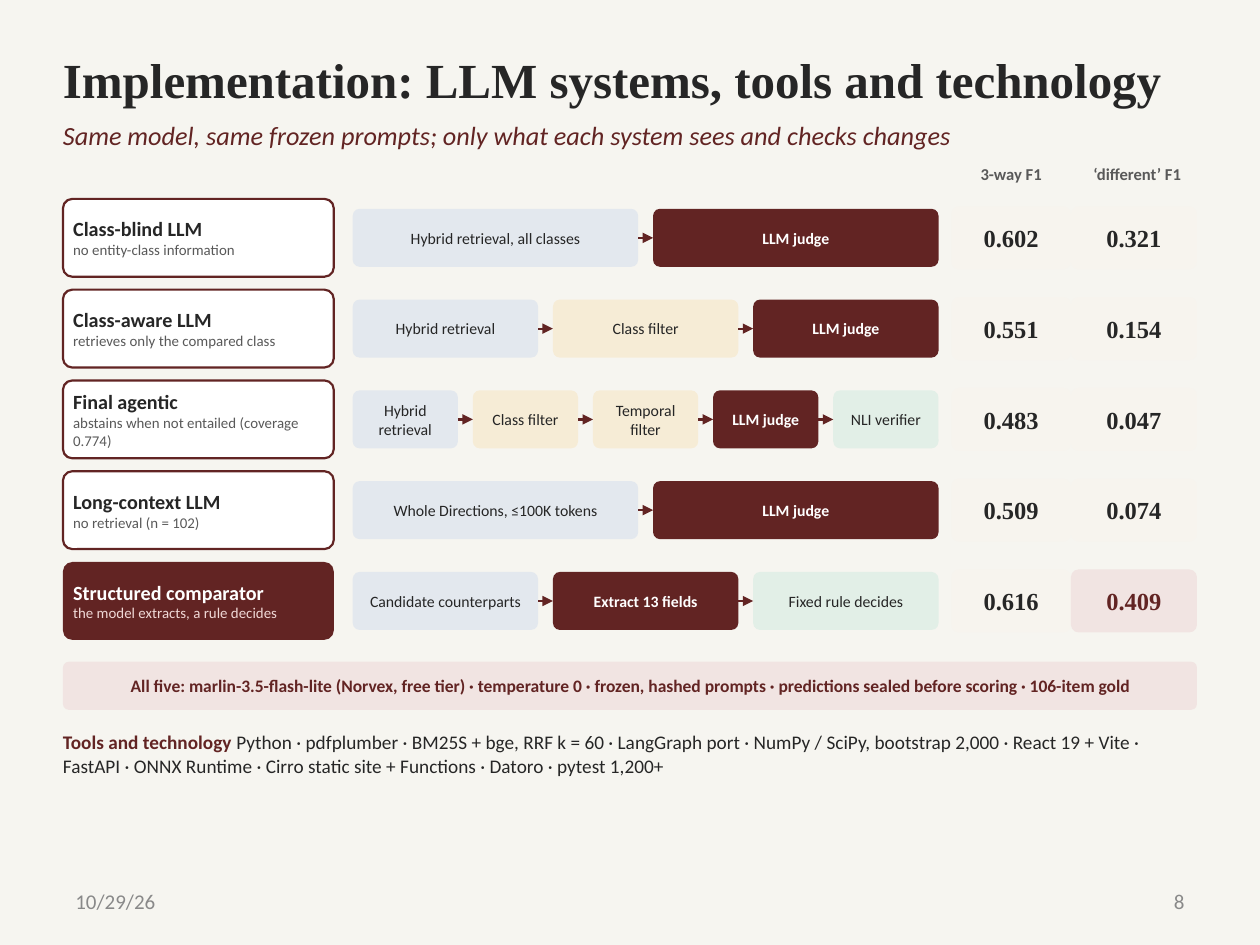
from lxml import etree
from pptx import Presentation
from pptx.dml.color import RGBColor
from pptx.enum import shapes, text
from pptx.oxml import ns
from pptx.util import Cm, Pt

SANS, SERIF = "Calibri", "Times New Roman"
INK, GREY, MAROON, ROSE, WHITE = "262626", "595959", "622423", "F1E4E2", "FFFFFF"
CREAM = "F7F4EE"
STEP_FILLS = {"source": "E3E8EE", "filter": "F6ECD6", "model": MAROON, "check": "E2EFE7"}
LEFT, CENTER, RIGHT = text.PP_ALIGN.LEFT, text.PP_ALIGN.CENTER, text.PP_ALIGN.RIGHT
TOP, MIDDLE = text.MSO_ANCHOR.TOP, text.MSO_ANCHOR.MIDDLE

TITLE = "Implementation: LLM systems, tools and technology"
SUBTITLE = "Same model, same frozen prompts; only what each system sees and checks changes"
JUDGE = ("LLM judge", "model")
SYSTEMS = [
    ("Class-blind LLM", "no entity-class information",
     [("Hybrid retrieval, all classes", "source"), JUDGE], ("0.602", "0.321")),
    ("Class-aware LLM", "retrieves only the compared class",
     [("Hybrid retrieval", "source"), ("Class filter", "filter"), JUDGE], ("0.551", "0.154")),
    ("Final agentic", "abstains when not entailed (coverage 0.774)",
     [("Hybrid retrieval", "source"), ("Class filter", "filter"),
      ("Temporal filter", "filter"), JUDGE, ("NLI verifier", "check")], ("0.483", "0.047")),
    ("Long-context LLM", "no retrieval (n = 102)",
     [("Whole Directions, ≤100K tokens", "source"), JUDGE], ("0.509", "0.074")),
    ("Structured comparator", "the model extracts, a rule decides",
     [("Candidate counterparts", "source"), ("Extract 13 fields", "model"),
      ("Fixed rule decides", "check")], ("0.616", "0.409")),
]
BEST_SYSTEM, BEST_SCORE = "Structured comparator", "0.409"
SCORE_COLUMNS = [("3-way F1", 19.18, 2.41, 2.41), ("‘different’ F1", 21.59, 2.54, 2.67)]
SETUP = ("All five: marlin-3.5-flash-lite (Norvex, free tier) · temperature 0 · "
         "frozen, hashed prompts · predictions sealed before scoring · 106-item gold")
TOOLS = ("Python · pdfplumber · BM25S + bge, RRF k = 60 · LangGraph port · "
         "NumPy / SciPy, bootstrap 2,000 · React 19 + Vite · FastAPI · ONNX Runtime · "
         "Cirro static site + Functions · Datoro · pytest 1,200+")

MARGIN, CONTENT_W = 1.27, 22.86
ROW_TOP, ROW_PITCH, ROW_H = 4.01, 1.83, 1.57
NAME_W = 5.46
FLOW_X, FLOW_W, FLOW_GAP, STEP_H = 7.11, 11.81, 0.3, 1.17
SCORE_H = 1.27


def rgb(value):
    return RGBColor.from_string(value)


def run(value, size, color=INK, bold=False, italic=False, font=SANS):
    return value, size, color, bold, italic, font


def write(s, paragraphs, align=LEFT, anchor=MIDDLE, insets=(0, 0)):
    tf = s.text_frame
    tf.word_wrap = True
    tf.vertical_anchor = anchor
    tf.margin_left = tf.margin_right = Cm(insets[0])
    tf.margin_top = tf.margin_bottom = Cm(insets[1])
    for i, runs in enumerate(paragraphs):
        p = tf.add_paragraph() if i else tf.paragraphs[0]
        p.alignment = align
        for value, size, color, bold, italic, font in runs:
            r = p.add_run()
            r.text = value
            r.font.size, r.font.name = Pt(size), font
            r.font.bold, r.font.italic = bold, italic
            r.font.color.rgb = rgb(color)


def label(slide, box, runs, **layout):
    s = slide.shapes.add_textbox(*map(Cm, box))
    write(s, [runs], **layout)


def card(slide, box, fill, paragraphs, align=CENTER, line=None):
    s = slide.shapes.add_shape(shapes.MSO_SHAPE.ROUNDED_RECTANGLE, *map(Cm, box))
    s.shadow.inherit = False
    s.adjustments[0] = 0.12
    s.fill.solid()
    s.fill.fore_color.rgb = rgb(fill)
    if line:
        s.line.color.rgb = rgb(line)
        s.line.width = Pt(1.25)
    else:
        s.line.fill.background()
    write(s, paragraphs, align, insets=(0.15, 0.08))
    return s


def arrow(slide, start, end):
    c = slide.shapes.add_connector(shapes.MSO_CONNECTOR.STRAIGHT, 0, 0, 0, 0)
    c.begin_connect(start, 3)
    c.end_connect(end, 1)
    c.line.color.rgb = rgb(MAROON)
    c.line.width = Pt(1.25)
    etree.SubElement(c.line._get_or_add_ln(), ns.qn("a:tailEnd"), type="triangle")
    etree.SubElement(c._element.spPr, ns.qn("a:effectLst"))


def flow(slide, steps, middle):
    width = (FLOW_W - FLOW_GAP * (len(steps) - 1)) / len(steps)
    previous = None
    for i, (name, kind) in enumerate(steps):
        model = kind == "model"
        box = (FLOW_X + i * (width + FLOW_GAP), middle - STEP_H / 2, width, STEP_H)
        step = card(slide, box, STEP_FILLS[kind],
                    [[run(name, 9, WHITE if model else INK, model)]])
        if previous:
            arrow(slide, previous, step)
        previous = step


def system_row(slide, index, name, note, steps, scores):
    top = ROW_TOP + index * ROW_PITCH
    middle = top + ROW_H / 2
    best = name == BEST_SYSTEM
    card(slide, (MARGIN, top, NAME_W, ROW_H), MAROON if best else WHITE,
         [[run(name, 11.5, WHITE if best else INK, True)],
          [run(note, 8.5, "F0D8D6" if best else GREY)]],
         LEFT, None if best else MAROON)
    flow(slide, steps, middle)
    for score, (_, x, width, _) in zip(scores, SCORE_COLUMNS):
        top_score = score == BEST_SCORE
        card(slide, (x, middle - SCORE_H / 2, width, SCORE_H), ROSE if top_score else CREAM,
             [[run(score, 14, MAROON if top_score else INK, True, font=SERIF)]])


def main():
    prs = Presentation()
    prs.slide_width, prs.slide_height = Cm(25.4), Cm(19.05)
    slide = prs.slides.add_slide(prs.slide_layouts[6])
    slide.background.fill.solid()
    slide.background.fill.fore_color.rgb = rgb("F6F5F0")

    for value, x, align in [("10/29/26", MARGIN, LEFT), ("8", 18.21, RIGHT)]:
        label(slide, (x, 17.65, 5.92, 1.02), [run(value, 12, "898989")],
              align=align, insets=(0.25, 0.13))
    label(slide, (MARGIN, 0.81, CONTENT_W, 1.57), [run(TITLE, 28, bold=True, font=SERIF)],
          insets=(0, 0.13))
    label(slide, (MARGIN, 2.41, CONTENT_W, 1.07), [run(SUBTITLE, 15, MAROON, italic=True)],
          anchor=TOP)
    for heading, x, _, width in SCORE_COLUMNS:
        label(slide, (x, 3.3, width, 0.64), [run(heading, 9.5, GREY, True)],
              align=CENTER, anchor=TOP)

    for index, system in enumerate(SYSTEMS):
        system_row(slide, index, *system)

    card(slide, (MARGIN, 13.34, CONTENT_W, 0.97), ROSE, [[run(SETUP, 10, MAROON, True)]])
    label(slide, (MARGIN, 14.73, CONTENT_W, 2.03),
          [run("Tools and technology ", 11, MAROON, True), run(TOOLS, 11)], anchor=TOP)
    prs.save("out.pptx")


if __name__ == "__main__":
    main()
